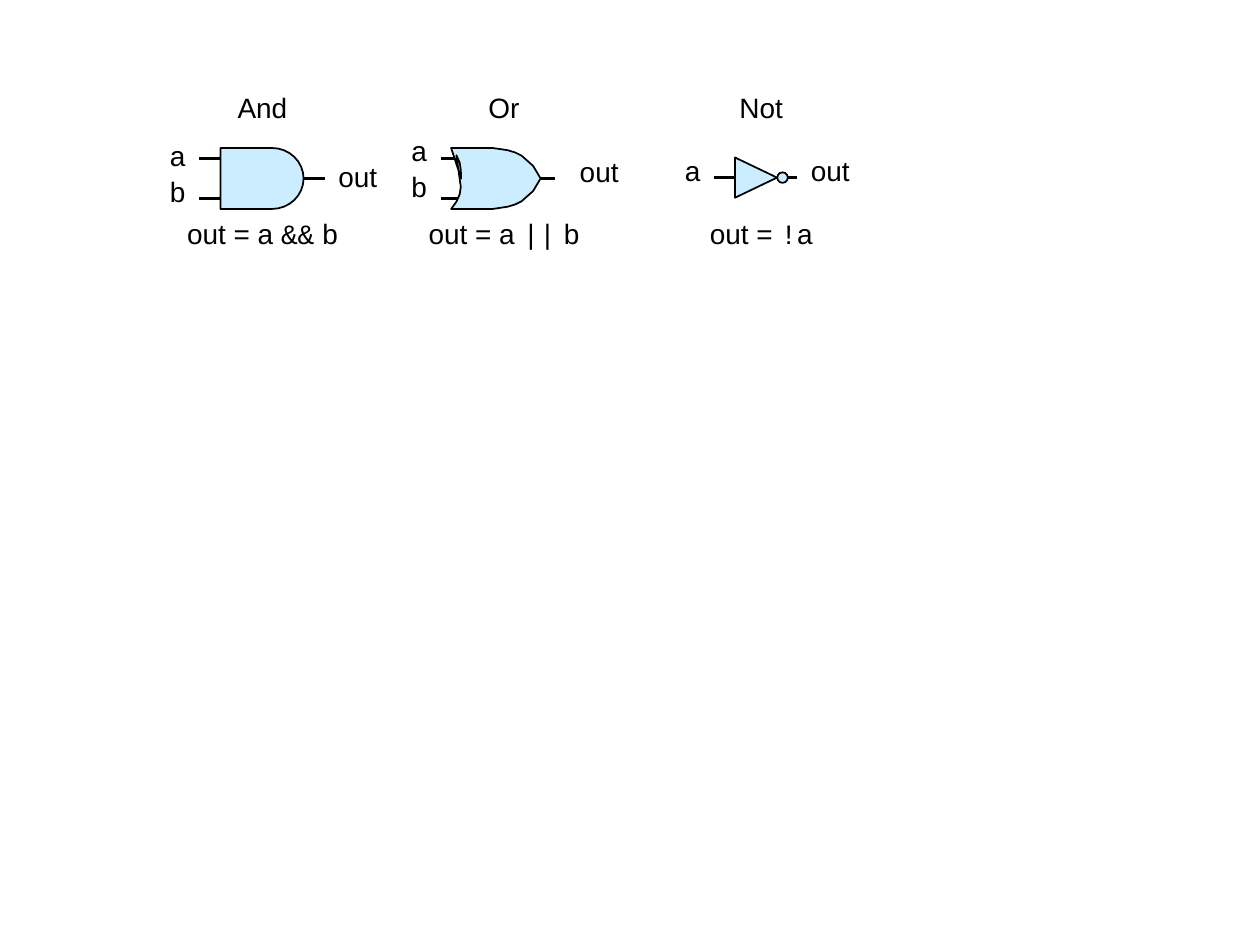
from dataclasses import dataclass
from math import cos, pi, sin

from lxml import etree
from pptx import Presentation
from pptx.dml.color import RGBColor
from pptx.enum.shapes import MSO_CONNECTOR, MSO_SHAPE
from pptx.enum.text import MSO_AUTO_SIZE, PP_ALIGN
from pptx.oxml.ns import qn
from pptx.util import Pt

STRAIGHT = MSO_CONNECTOR.STRAIGHT
OVAL = MSO_SHAPE.OVAL
FIT_SHAPE = MSO_AUTO_SIZE.SHAPE_TO_FIT_TEXT
LEFT, CENTER = PP_ALIGN.LEFT, PP_ALIGN.CENTER


@dataclass(frozen=True)
class Theme:
    """Colours, fonts and sizes of the diagram."""
    ink: RGBColor = RGBColor(0x00, 0x00, 0x00)
    gate: RGBColor = RGBColor(0xCC, 0xEC, 0xFF)
    sans: str = "Arial"
    mono: str = "Courier New"
    size: float = 16
    outline: float = 1
    wire: float = 1.5
    text_height: float = 26.6


THEME = Theme()
MID = 102
NOT_MID = 101.5
HALF = 17.4
PIN = 11.5
TITLE_TOP = 48
FORMULA_TOP = 120


def add_wire(s, x1, x2, y):
    """Draw one horizontal wire."""
    wire = s.shapes.add_connector(STRAIGHT, Pt(x1), Pt(y), Pt(x2), Pt(y))
    wire.line.color.rgb = THEME.ink
    wire.line.width = Pt(THEME.wire)
    etree.SubElement(wire._element.spPr, qn("a:effectLst"))


def paint_gate(sp):
    """Give a gate part its fill and outline."""
    sp.shadow.inherit = False
    sp.fill.solid()
    sp.fill.fore_color.rgb = THEME.gate
    sp.line.color.rgb = THEME.ink
    sp.line.width = Pt(THEME.outline)


def add_outline(s, points):
    """Draw a closed gate body through the given points."""
    start, *rest = [(Pt(x), Pt(y)) for x, y in points]
    builder = s.shapes.build_freeform(*start)
    builder.add_line_segments(rest, close=True)
    paint_gate(builder.convert_to_shape())


def add_text(s, x, y, width, runs, align=LEFT, wrap=False):
    """Place one line of text made of (text, font name) runs."""
    sp = s.shapes.add_textbox(Pt(x), Pt(y), Pt(width), Pt(THEME.text_height))
    tf = sp.text_frame
    for name, value in {"word_wrap": wrap, "auto_size": FIT_SHAPE}.items():
        setattr(tf, name, value)
    p = tf.paragraphs[0]
    p.alignment = align
    for text, font in runs:
        r = p.add_run()
        r.text = text
        for name, value in {"name": font, "size": Pt(THEME.size)}.items():
            setattr(r.font, name, value)
        r.font.color.rgb = THEME.ink


def add_pin_label(s, text, x, y):
    """Label an input or output."""
    add_text(s, x, y, 36.7 if text == "out" else 23, [(text, THEME.sans)])


def add_captions(s, x, width, title, before, operator, after):
    """Write the gate name above and its formula below."""
    formula = [(before, THEME.sans), (operator, THEME.mono), (after, THEME.sans)]
    for y, runs in ((TITLE_TOP, [(title, THEME.sans)]), (FORMULA_TOP, formula)):
        add_text(s, x, y, width, runs, CENTER, True)


def add_and_gate(s):
    """Draw the And gate with its wires and labels."""
    left, bend, radius, steps = 126, 155.5, 18, 16
    for y in (MID - PIN, MID + PIN):
        add_wire(s, 114, left, y)
    add_wire(s, bend + radius, 185.5, MID)
    angles = [pi * i / steps - pi / 2 for i in range(steps + 1)]
    arc = [(bend + radius * cos(a), MID + HALF * sin(a)) for a in angles]
    add_outline(s, [(left, MID - HALF), *arc, (left, MID + HALF)])
    for label in (("a", 90, 75.6), ("b", 90, 96), ("out", 186.3, 87.7)):
        add_pin_label(s, *label)
    add_captions(s, 96, 108, "And", "out = a ", "&&", " b")


def add_or_gate(s):
    """Draw the Or gate with its wires and labels."""
    front = [(257.8, HALF), (281.5, HALF), (285.8, 16.8), (290.2, 16.1),
             (294.5, 14.8), (298.1, 13), (304.6, 7.2), (308.9, 0)]
    back = [(263.5, 0), (263.3, 4.8), (262.7, 9), (260.8, 13.3)]
    upper = [(x, MID - dy) for x, dy in back[::-1] + front]
    lower = [(x, MID + dy) for x, dy in front[-2::-1] + back[:0:-1]]
    for y in (MID - PIN, MID + PIN):
        add_wire(s, 252, 263.5, y)
    add_wire(s, 305, 317, MID)
    add_outline(s, upper + lower)
    for label in (("a", 228, 73), ("b", 228, 93.5), ("out", 324.2, 85)):
        add_pin_label(s, *label)
    add_captions(s, 234, 108, "Or", "out = a ", "||", " b")


def add_not_gate(s):
    """Draw the Not gate with its wires and labels."""
    left, tip, bubble = 420, 444, 6
    add_wire(s, tip, 455.5, NOT_MID)
    add_outline(s, [(left, NOT_MID - PIN), (left, NOT_MID + PIN), (tip, NOT_MID)])
    paint_gate(s.shapes.add_shape(OVAL, Pt(tip + 0.2), Pt(NOT_MID - bubble / 2),
                                  Pt(bubble), Pt(bubble)))
    add_wire(s, 408, left, NOT_MID)
    for label in (("a", 384.2, 84), ("out", 456.3, 84)):
        add_pin_label(s, *label)
    add_captions(s, 396, 78, "Not", "out = ", "!", "a")


def main():
    """Build the slide of logic gates."""
    prs = Presentation()
    prs.slide_width, prs.slide_height = Pt(720), Pt(540)
    s = prs.slides.add_slide(prs.slide_layouts[6])
    for add_gate in (add_and_gate, add_or_gate, add_not_gate):
        add_gate(s)
    prs.save("out.pptx")


if __name__ == "__main__":
    main()
